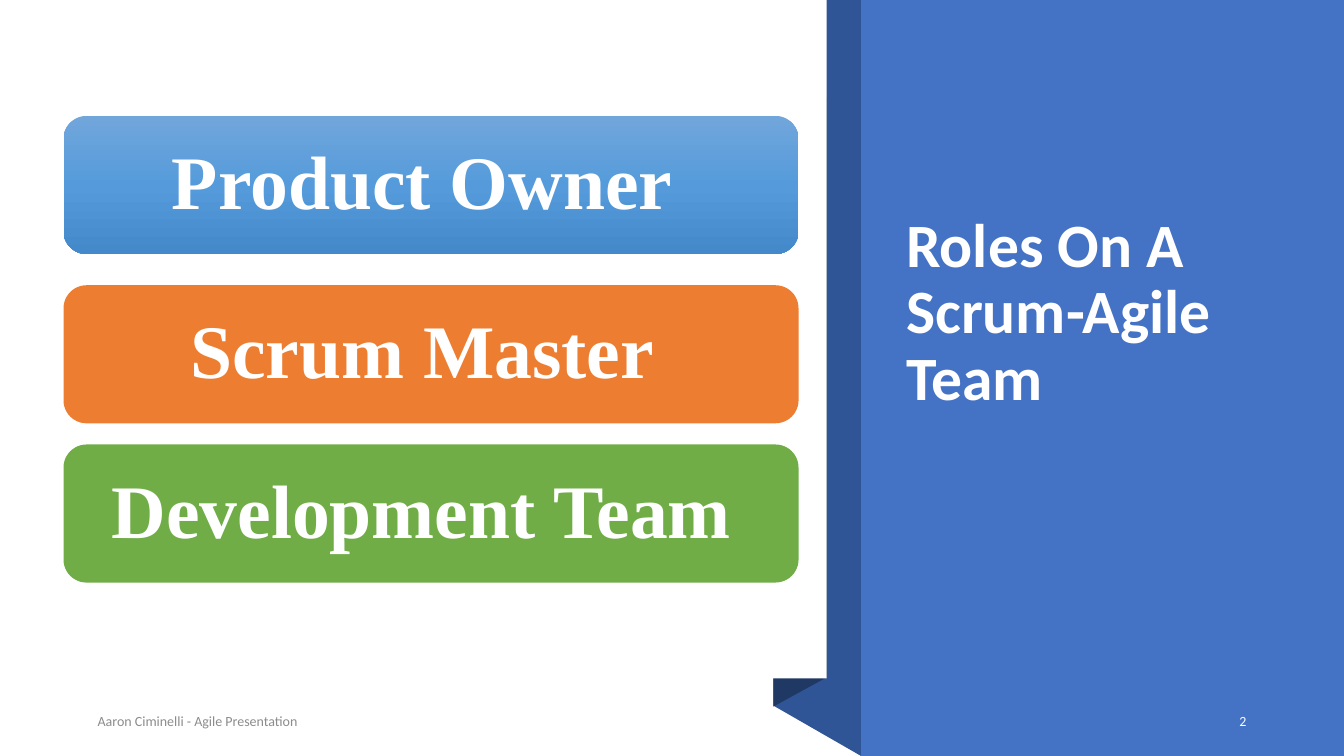
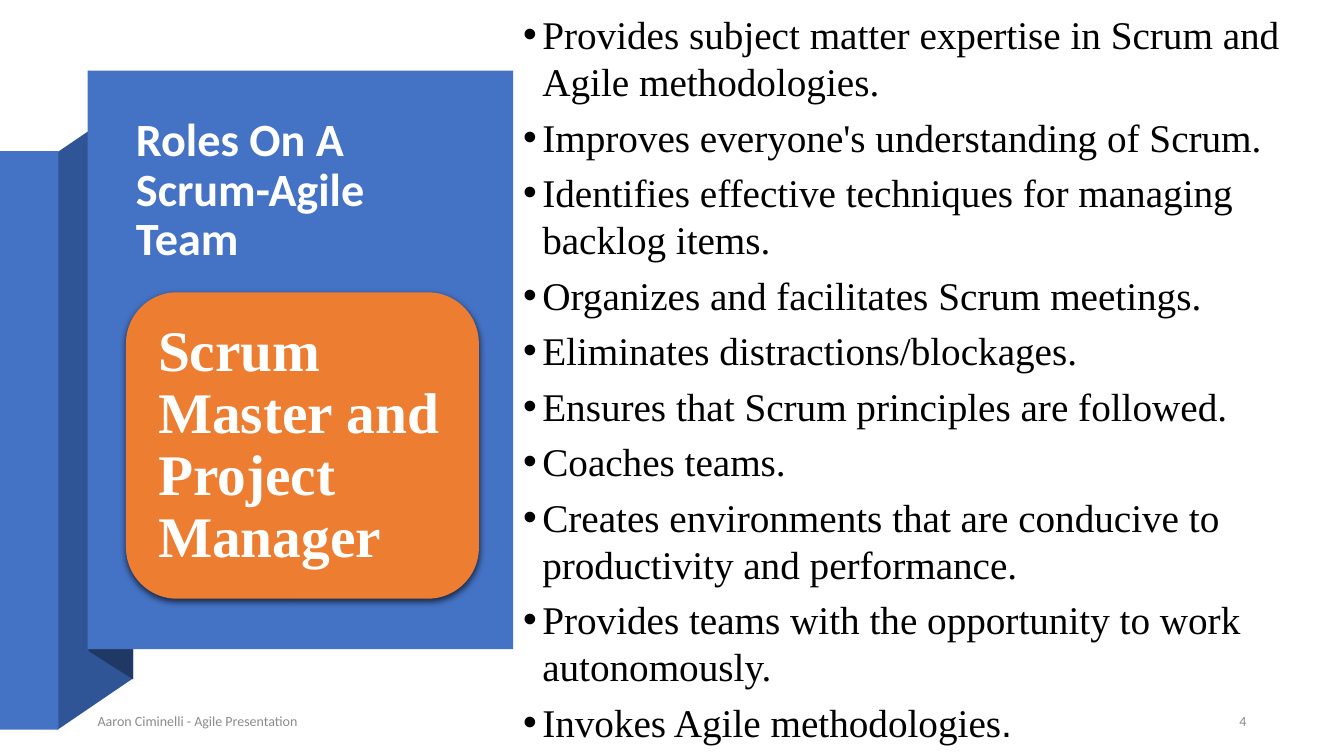
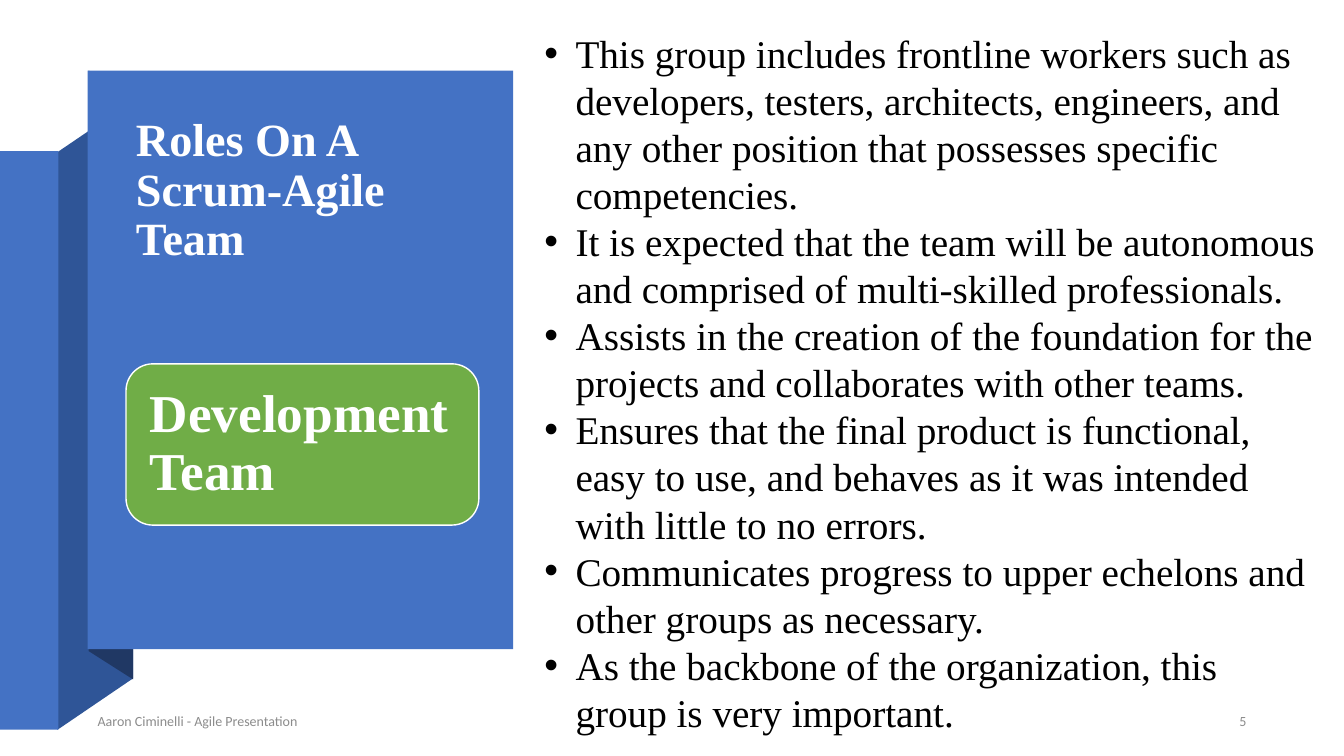
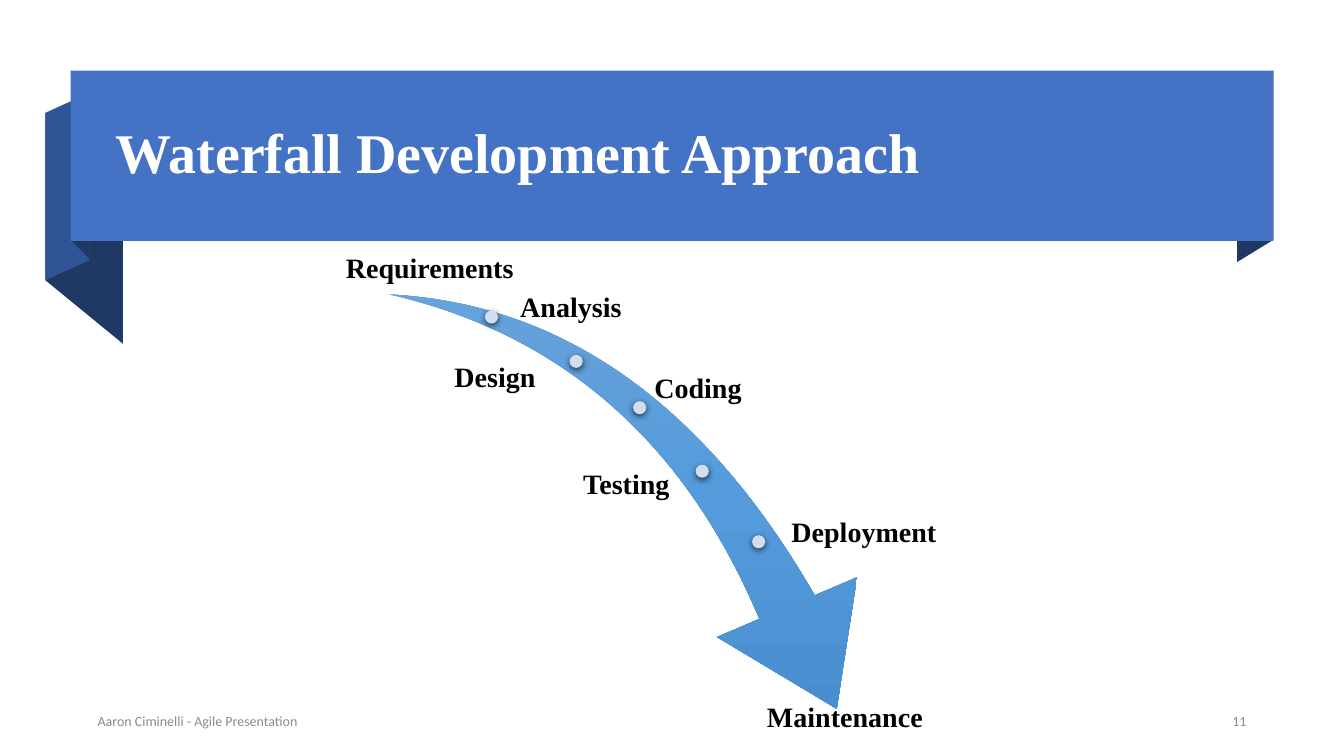
from dataclasses import dataclass

from lxml import etree
from pptx import Presentation
from pptx import util as u
from pptx.dml import color as c
from pptx.enum import shapes, text
from pptx.oxml import ns

KIND = shapes.MSO_SHAPE
ALIGN = text.PP_ALIGN
ANCHOR = text.MSO_ANCHOR


@dataclass(frozen=True)
class Theme:
    """Colours, fonts and type sizes of the deck."""
    white: str = "FFFFFF"
    black: str = "000000"
    blue: str = "4472C4"
    mid: str = "2F5597"
    dark: str = "203864"
    orange: str = "ED7D31"
    green: str = "70AD47"
    pale: str = "D2DEEF"
    gray: str = "8C8C8C"
    sky: tuple = ("71A6DB", "559BDB", "448ACA")
    sans: str = "Calibri"
    serif: str = "Times New Roman"
    plain: str = "Arial"
    small: int = 10
    label: int = 20
    body: int = 28
    side: int = 33
    head: int = 40
    lead: int = 44
    card: int = 54


T = Theme()
TEAM = "Roles On A Scrum-Agile Team"


def box(nums):
    """Turn numbers into inch lengths."""
    return [u.Inches(n) for n in nums]


def sub(node, tag, **attrs):
    """Append a drawing element to a node."""
    return etree.SubElement(node, ns.qn(tag), attrs)


def paint(shape, fill):
    """Give a shape a solid or three-stop vertical fill and no line."""
    shape.shadow.inherit = False
    shape.line.fill.background()
    if isinstance(fill, str):
        shape.fill.solid()
        shape.fill.fore_color.rgb = c.RGBColor.from_string(fill)
        return
    shape.fill.gradient()
    shape.fill.gradient_angle = 270
    grad = shape._element.spPr.find(ns.qn("a:gradFill"))
    grad.set("rotWithShape", "0")
    stops = grad.find(ns.qn("a:gsLst"))
    for stop in list(stops):
        stops.remove(stop)
    for pos, tone in zip(("0", "50000", "100000"), fill):
        sub(sub(stops, "a:gs", pos=pos), "a:srgbClr", val=tone)


def shade(shape):
    """Add a soft shadow below a shape."""
    list_ = shape._element.spPr.find(ns.qn("a:effectLst"))
    drop = sub(list_, "a:outerShdw", blurRad=str(u.Pt(4.5)), dist=str(u.Pt(1.5)),
               dir="5400000", algn="ctr", rotWithShape="0")
    sub(sub(drop, "a:srgbClr", val=T.black), "a:alpha", val="63000")


def form(slide, kind, place, fill):
    """Draw a filled preset shape."""
    shape = slide.shapes.add_shape(kind, *box(place))
    paint(shape, fill)
    return shape


def fold(slide, points, fill):
    """Draw a filled ribbon fold."""
    first, *rest = [box(p) for p in points]
    pen = slide.shapes.build_freeform(*first, scale=1.0)
    pen.add_line_segments(rest, close=True)
    paint(pen.convert_to_shape(), fill)


def write(shape, lines, size, tone, face=T.serif, bold=False, align=ALIGN.LEFT,
          anchor=ANCHOR.MIDDLE, inset=None, lead=None, after=0, hang=None):
    """Fill a shape with uniformly styled paragraphs."""
    frame = shape.text_frame
    frame.word_wrap = True
    frame.vertical_anchor = anchor
    if inset is not None:
        frame.margin_left = frame.margin_right = u.Inches(inset)
        frame.margin_top = frame.margin_bottom = u.Inches(inset)
    for i, line in enumerate(lines):
        para = frame.paragraphs[0] if i == 0 else frame.add_paragraph()
        para.text = line
        para.alignment = align
        para.space_after = u.Pt(after)
        if lead:
            para.line_spacing = lead
        if hang:
            props = para._p.get_or_add_pPr()
            props.set("marL", str(u.Inches(hang)))
            props.set("indent", str(-u.Inches(hang)))
            sub(props, "a:buFont", typeface=T.plain)
            sub(props, "a:buChar", char="•")
        para.font.size = u.Pt(size)
        para.font.name = face
        para.font.bold = bold
        para.font.color.rgb = c.RGBColor.from_string(tone)
    return frame


def note(slide, place, lines, size, tone, **style):
    """Place a text box."""
    return write(slide.shapes.add_textbox(*box(place)), lines, size, tone, **style)


def title(slide, place, words, size, face, anchor=ANCHOR.MIDDLE):
    """Place the white slide title."""
    note(slide, place, [words], size, T.white, face=face, bold=True,
         anchor=anchor, lead=0.9)


def card(slide, place, words, fill, size, inset, align=ALIGN.LEFT):
    """Draw a rounded role card."""
    shape = form(slide, KIND.ROUNDED_RECTANGLE, place, fill)
    write(shape, [words], size, T.white, bold=True, align=align,
          inset=inset, lead=0.9)
    return shape


def foot(slide, num, tone=T.gray):
    """Place the footer and the slide number."""
    note(slide, (0.87, 6.98, 7.39, 0.35), ["Aaron Ciminelli - Agile Presentation"],
         T.small, T.gray, face=T.sans)
    note(slide, (11.71, 6.98, 0.75, 0.35), [str(num)], T.small, tone,
         face=T.sans, align=ALIGN.RIGHT)


def panel(slide, face):
    """Draw the folded side panel with the team title."""
    fold(slide, [(0.57, 7.24), (1.32, 6.73), (1.32, 1), (0.57, 1.51)], T.mid)
    form(slide, KIND.RECTANGLE, (0, 1.5, 0.58, 5.74), T.blue)
    fold(slide, [(0.88, 6.46), (1.32, 6.74), (1.32, 0.99), (0.88, 0.7)], T.dark)
    form(slide, KIND.RECTANGLE, (0.87, 0.7, 4.22, 5.74), T.blue)
    title(slide, (1.25, 1.09, 3.48, 1.61), TEAM, T.side, face)


def roles(slide):
    """Build the overview of the three roles."""
    fold(slide, [(7.67, 0), (8.54, 0), (8.54, 7.5), (7.67, 7)], T.mid)
    fold(slide, [(8.2, 6.72), (7.67, 7.01), (7.67, 1.25), (8.2, 0.97)], T.dark)
    form(slide, KIND.RECTANGLE, (0, 0, 8.2, 6.73), T.white)
    form(slide, KIND.RECTANGLE, (8.54, 0, 4.79, 7.5), T.blue)
    title(slide, (8.89, 1.16, 3.57, 2.99), TEAM, T.lead, T.sans, ANCHOR.BOTTOM)
    foot(slide, 2, T.white)
    for top, words, fill in ((1.15, "Product Owner ", T.sky),
                             (2.83, "Scrum Master ", T.orange),
                             (4.41, "Development Team ", T.green)):
        card(slide, (0.63, top, 7.29, 1.37), words, fill, T.card, 0.23, ALIGN.CENTER)


def master(slide):
    """Build the Scrum master slide."""
    panel(slide, T.sans)
    duties = [
        "Provides subject matter expertise in Scrum and Agile methodologies.",
        "Improves everyone's understanding of Scrum.",
        "Identifies effective techniques for managing backlog items.",
        "Organizes and facilitates Scrum meetings.",
        "Eliminates distractions/blockages.",
        "Ensures that Scrum principles are followed.",
        "Coaches teams.",
        "Creates environments that are conducive to productivity and performance.",
        "Provides teams with the opportunity to work autonomously.",
        "Invokes Agile methodologies",
    ]
    frame = note(slide, (5.09, 0.02, 8.08, 7.46), duties, T.body, T.black,
                 after=6, hang=0.19)
    stop = frame.paragraphs[-1].add_run()
    stop.text = "."
    stop.font.name = T.plain
    foot(slide, 4)
    shade(card(slide, (1.25, 2.9, 3.5, 3.04), "Scrum Master and Project Manager",
               T.orange, 41, 0.17))


def crew(slide):
    """Build the development team slide."""
    panel(slide, T.serif)
    foot(slide, 5)
    shape = card(slide, (1.25, 3.61, 3.5, 1.6), "Development Team", T.green, 38, 0.16)
    shape.line.color.rgb = c.RGBColor.from_string(T.white)
    shape.line.width = u.Pt(1)
    duties = [
        "This group includes frontline workers such as developers, testers, "
        "architects, engineers, and any other position that possesses specific "
        "competencies.",
        "It is expected that the team will be autonomous and comprised of "
        "multi-skilled professionals.",
        "Assists in the creation of the foundation for the projects and "
        "collaborates with other teams.",
        "Ensures that the final product is functional, easy to use, and behaves "
        "as it was intended with little to no errors.",
        "Communicates progress to upper echelons and other groups as necessary.",
        "As the backbone of the organization, this group is very important.",
    ]
    note(slide, (5.3, 0.24, 7.87, 7.17), duties, T.body, T.black,
         anchor=ANCHOR.TOP, hang=0.31)


def falls(slide):
    """Build the waterfall slide."""
    fold(slide, [(1.22, 3.41), (0.45, 2.78), (0.45, 1.12), (1.22, 1.75)], T.dark)
    fold(slide, [(0.89, 2.58), (0.45, 2.78), (0.45, 1.12), (0.89, 0.92)], T.mid)
    fold(slide, [(0.89, 2.57), (0.71, 2.39), (0.71, 0.7), (0.89, 0.89)], T.dark)
    fold(slide, [(12.63, 2.38), (12.27, 2.6), (12.27, 0.91), (12.63, 0.7)], T.dark)
    form(slide, KIND.RECTANGLE, (0.7, 0.7, 11.93, 1.69), T.blue)
    title(slide, (1.05, 0.88, 11.23, 1.33), "Waterfall Development Approach",
          T.head, T.serif)
    foot(slide, 11)
    arrow = form(slide, KIND.SWOOSH_ARROW, (3.75, 3.08, 5.21, 3.63), T.sky)
    arrow.rotation = 73.3
    arrow.adjustments[0] = 0.163
    arrow.adjustments[1] = 0.314
    for left, top in ((4.81, 3.08), (5.65, 3.52), (6.28, 3.98),
                      (6.9, 4.61), (7.46, 5.31)):
        shade(form(slide, KIND.OVAL, (left, top, 0.13, 0.13), T.pale))
    mid = ANCHOR.MIDDLE
    for left, top, width, words, align, anchor in (
            (3.4, 1.88, 2.45, "Requirements", ALIGN.LEFT, ANCHOR.BOTTOM),
            (5.13, 2.57, 3.72, "Analysis", ALIGN.LEFT, mid),
            (3.22, 3.27, 2.19, "Design ", ALIGN.RIGHT, mid),
            (6.46, 3.38, 2.59, "Coding", ALIGN.LEFT, mid),
            (3.35, 4.33, 3.32, "Testing", ALIGN.RIGHT, mid),
            (7.82, 4.81, 1.92, "Deployment", ALIGN.LEFT, mid),
            (6.72, 6.95, 3.32, "Maintenance", ALIGN.CENTER, ANCHOR.TOP)):
        high = min(0.97, 7.5 - top)
        note(slide, (left, top, width, high), [words], T.label, T.black, bold=True,
             align=align, anchor=anchor, inset=0.03, lead=0.9)


def main():
    """Build and save the deck."""
    deck = Presentation()
    deck.slide_width, deck.slide_height = box((13.33, 7.5))
    for build in (roles, master, crew, falls):
        build(deck.slides.add_slide(deck.slide_layouts[6]))
    deck.save("out.pptx")


main()
